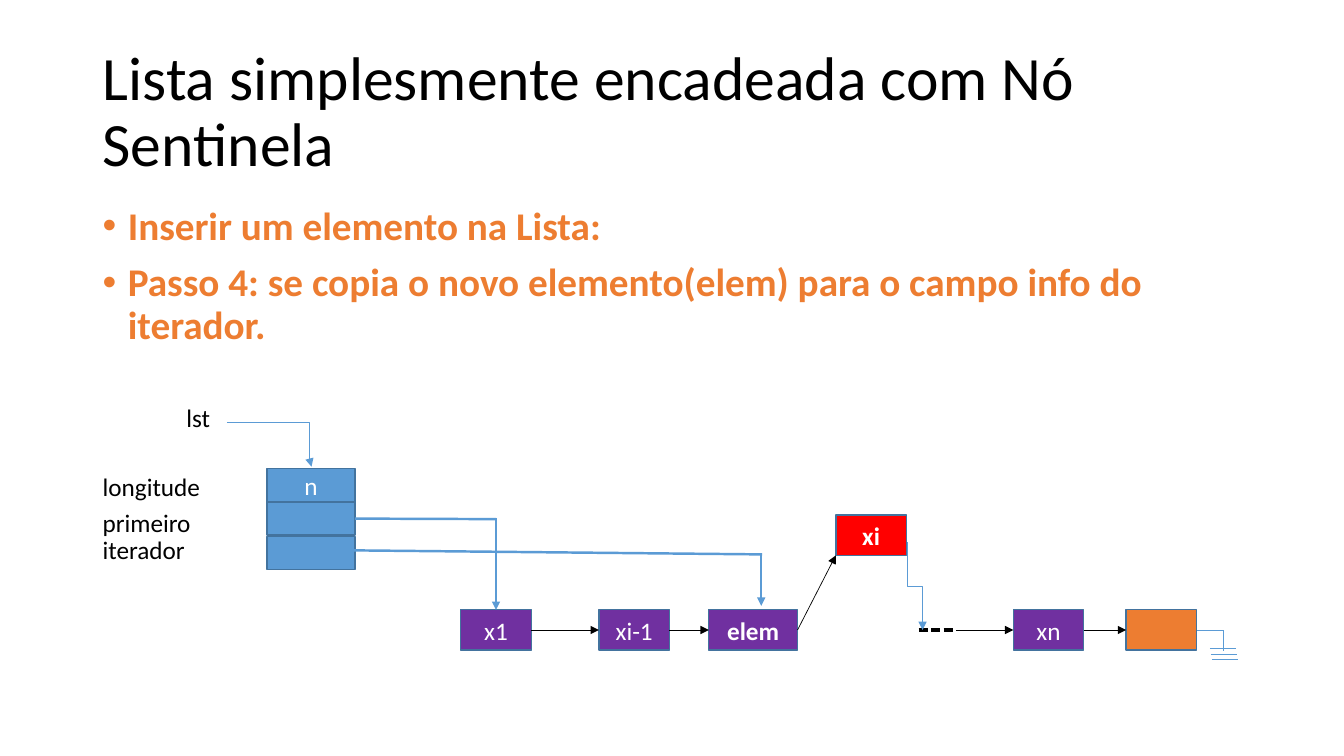
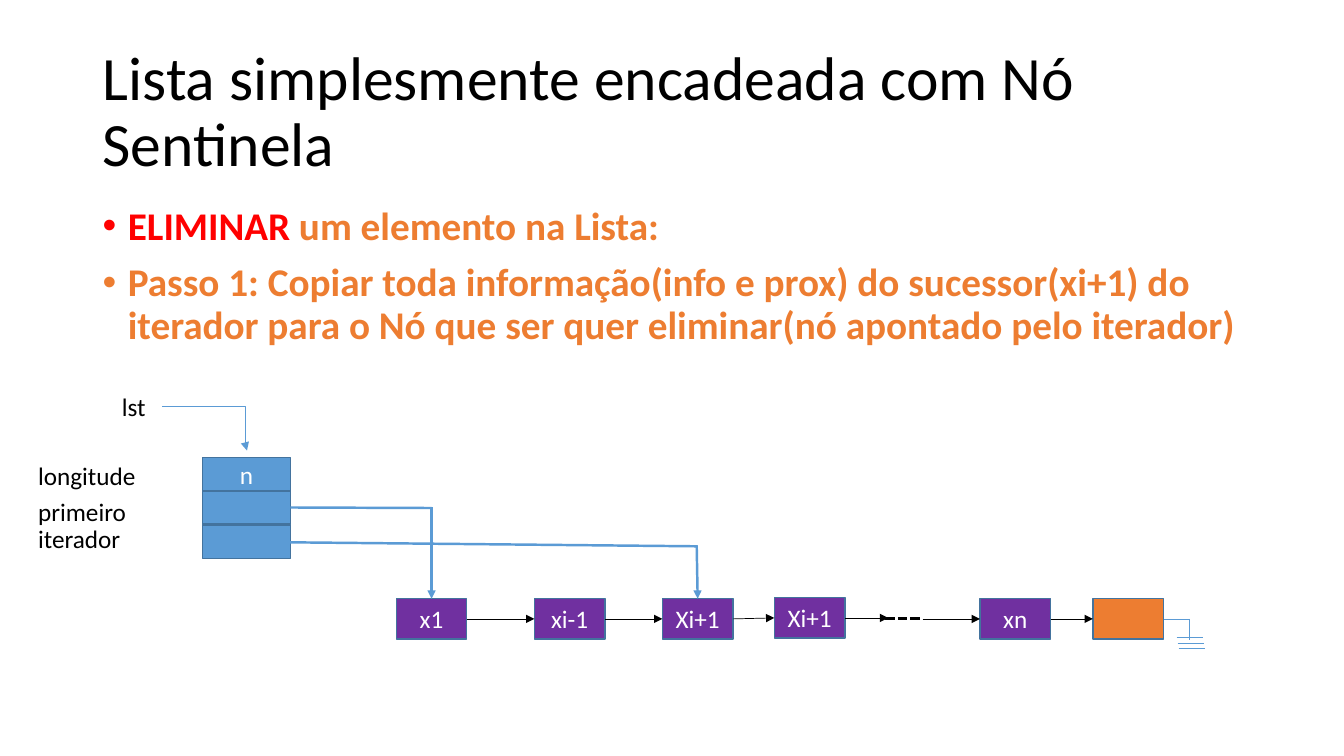
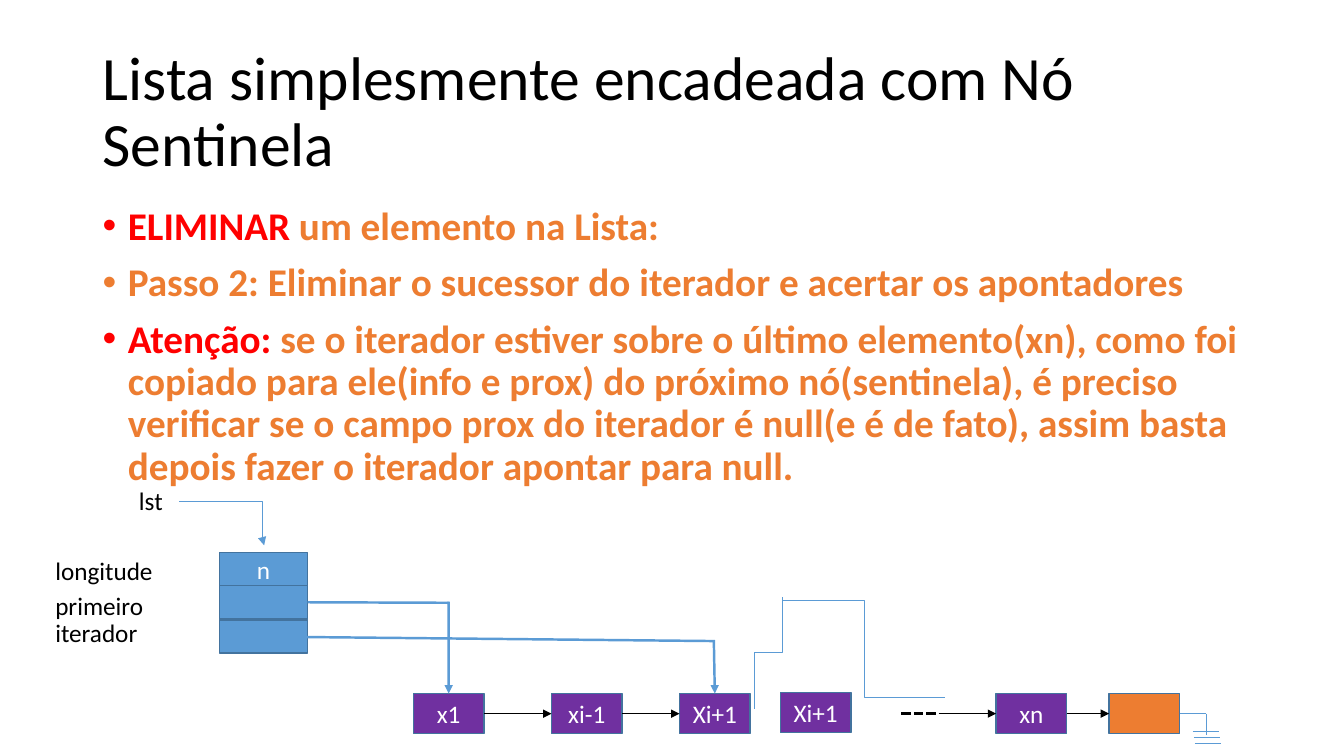
from lxml import etree
from pptx import Presentation
from pptx.dml.color import RGBColor
from pptx.enum.dml import MSO_LINE
from pptx.enum.shapes import MSO_CONNECTOR, MSO_SHAPE
from pptx.enum.text import MSO_ANCHOR, PP_ALIGN
from pptx.oxml.ns import qn
from pptx.util import Inches, Pt

RECT = MSO_SHAPE.RECTANGLE
LINE, ELBOW = MSO_CONNECTOR.STRAIGHT, MSO_CONNECTOR.ELBOW
DASH = MSO_LINE.SQUARE_DOT
MIDDLE, CENTER = MSO_ANCHOR.MIDDLE, PP_ALIGN.CENTER
TOP, LEFT, RIGHT = 0, 1, 3

BLACK, WHITE, RED = "000000", "FFFFFF", "FF0000"
BLUE, EDGE, PURPLE, ORANGE = "5B9BD5", "43739E", "7030A0", "ED7D31"

TITLE = "Lista simplesmente encadeada com Nó Sentinela"
DELETE = [("ELIMINAR", RED), (" um elemento na Lista:", ORANGE)]
FONT = {"name": "Calibri", "size": Pt(18), "bold": False}
HEAD = {**FONT, "size": Pt(44)}
BODY = {**FONT, "size": Pt(28), "bold": True}
BOLD = {**FONT, "bold": True}
BULLET = {"line_spacing": 0.9, "space_before": Pt(10)}

NODE_W, NODE_H = 0.7, 0.4
SLOT_W, SLOT_H = 0.87, 0.33
ROW = 1.4            # top of the node row below the top of the header
MID = ROW + NODE_H / 2


def rgb(code):
    return RGBColor.from_string(code)


def put(item, values):
    for name, value in values.items():
        setattr(item, name, value)


def sub(parent, tag, **attrs):
    return etree.SubElement(parent, qn(tag), attrs)


def write(para, text, color, font=FONT):
    run = para.add_run()
    run.text = text
    put(run.font, font)
    run.font.color.rgb = rgb(color)


def frame(slide, x, y, w, h):
    box = slide.shapes.add_textbox(*map(Inches, (x, y, w, h)))
    box.text_frame.word_wrap = True
    return box.text_frame


def label(slide, text, x, y, w=1.33):
    write(frame(slide, x, y, w, 0.4).paragraphs[0], text, BLACK)


def bullets(slide, items):
    """Each item is a list of (text, colour) runs."""
    body = frame(slide, 0.92, 2, 11.5, 5.24)
    for i, runs in enumerate(items):
        para = body.add_paragraph() if i else body.paragraphs[0]
        put(para, BULLET)
        props = para._p.get_or_add_pPr()
        put_in = {"marL": Inches(0.25), "indent": Inches(-0.25)}
        for name, value in put_in.items():
            props.set(name, str(int(value)))
        sub(props, "a:buFont", typeface="Arial")
        sub(props, "a:buChar", char="•")
        for text, color in runs:
            write(para, text, color, BODY)


def page(deck, items):
    slide = deck.slides.add_slide(deck.slide_layouts[6])
    head = frame(slide, 0.92, 0.4, 11.5, 1.45)
    head.vertical_anchor = MIDDLE
    head.paragraphs[0].line_spacing = 0.9
    write(head.paragraphs[0], TITLE, BLACK, HEAD)
    bullets(slide, items)
    return slide


def box(slide, text, x, y, w=NODE_W, h=NODE_H, fill=PURPLE, font=FONT):
    shape = slide.shapes.add_shape(RECT, *map(Inches, (x, y, w, h)))
    shape.shadow.inherit = False
    shape.fill.solid()
    shape.fill.fore_color.rgb = rgb(fill)
    shape.line.color.rgb = rgb(EDGE)
    shape.line.width = Pt(1)
    if text:
        body = shape.text_frame
        put(body, {"vertical_anchor": MIDDLE, "word_wrap": True})
        body.paragraphs[0].alignment = CENTER
        write(body.paragraphs[0], text, WHITE, font)
    return shape


def style(link, color, width, arrow=False, dash=None):
    link.line.color.rgb = rgb(color)
    put(link.line, {"width": Pt(width), "dash_style": dash})
    if arrow:
        sub(link.line._ln, "a:tailEnd", type="triangle")
    sub(link._element.spPr, "a:effectLst")


def line(host, x1, y1, x2, y2, color=BLUE, width=0.5, arrow=False,
         dash=None, start=None, end=None):
    """Straight line; start and end are (shape, side) pairs to join."""
    link = host.shapes.add_connector(LINE, *map(Inches, (x1, y1, x2, y2)))
    if start:
        link.begin_connect(*start)
    if end:
        link.end_connect(*end)
    style(link, color, width, arrow, dash)


def join(slide, one, two):
    """Black arrow from the right of one node to the left of the next."""
    link = slide.shapes.add_connector(LINE, 0, 0, 0, 0)
    link.begin_connect(one, RIGHT)
    link.end_connect(two, LEFT)
    style(link, BLACK, 0.5, True)


def elbow(slide, x1, y1, x2, y2, arrow=False, bend=0.5, tall=False):
    """Bent line; a tall one leaves and arrives vertically."""
    ends = x1, y1, x2, y2
    if tall:
        cx, cy = (x1 + x2) / 2, (y1 + y2) / 2
        dx, dy = (x2 - x1) / 2, (y2 - y1) / 2
        ends = cx - dy, cy + dx, cx + dy, cy - dx
    link = slide.shapes.add_connector(ELBOW, *map(Inches, ends))
    if tall:
        link.rotation = 90
    guides = link._element.spPr.prstGeom.get_or_add_avLst()
    sub(guides, "a:gd", name="adj1", fmla=f"val {round(bend * 100000)}")
    style(link, BLUE, 0.5, arrow)


def header(slide, x, y, lead):
    """List header with its labels; lead is the height of the lst arrow."""
    slots = [box(slide, text, x, y + dy, SLOT_W, SLOT_H, BLUE)
             for text, dy in (("n", 0), ("", 0.33), ("", 0.67))]
    for text, dy in (("longitude", -0.02), ("primeiro", 0.33),
                     ("iterador", 0.6)):
        label(slide, text, x - 1.73, y + dy)
    label(slide, "lst", x - 0.9, y - 0.71, 0.49)
    elbow(slide, x - 0.4, y - lead, x + 0.44, y - lead + 0.44, True, 0.98)
    return slots


def ending(slide, x, y):
    """Dashes, last node, sentinel and ground; x is the last node's left."""
    mid = y + NODE_H / 2
    last = box(slide, "xn", x, y)
    stop = box(slide, "", x + 1.12, y, fill=ORANGE)
    line(slide, x - 0.94, mid, x - 0.57, mid, BLACK, 2.25, dash=DASH)
    line(slide, x - 0.57, mid, x, mid, BLACK, arrow=True, end=(last, LEFT))
    join(slide, last, stop)
    ground = slide.shapes.add_group_shape()
    line(ground, x + 1.82, mid, x + 2.08, mid, start=(stop, RIGHT))
    line(ground, x + 2.08, mid, x + 2.08, mid + 0.21)
    for i, dy in enumerate((0.18, 0.24, 0.29)):
        bar = x + 1.95 + 0.01 * i
        line(ground, bar, mid + dy, bar + 0.26, mid + dy)


def chain(slide, x, y, third, tail, lead=0.51, iter_y=0.84, fresh=False):
    """Whole list at x, y; returns the node under the iterator.

    A fresh node is wider and bold, and the iterator stops just above it.
    """
    slots = header(slide, x, y, lead)
    top = y + ROW
    first = box(slide, "x1", x + 1.92, top)
    prev = box(slide, "xi-1", x + 3.29, top)
    if fresh:
        node = box(slide, third, x + 4.38, top, 0.88, font=BOLD)
    else:
        node = box(slide, third, x + 4.56, top)
    join(slide, first, prev)
    join(slide, prev, node)
    line(slide, x + SLOT_W, y + 0.49, x + 2.27, y + 0.5, width=1.75,
         start=(slots[1], RIGHT))
    line(slide, x + 2.27, y + 0.49, x + 2.27, top, width=1.75, arrow=True,
         end=(first, TOP))
    line(slide, x + 0.84, y + iter_y, x + 4.91, y + iter_y + 0.04, width=1.75)
    line(slide, x + 4.9, y + iter_y + 0.03, x + 4.9, top - 0.04, width=1.75,
         arrow=True, end=None if fresh else (node, TOP))
    ending(slide, x + tail, top)
    return node


def insert(deck):
    slide = page(deck, [
        [("Inserir um elemento na Lista:", ORANGE)],
        [("Passo 4: se copia o novo elemento(elem) para o campo info do "
          "iterador.", ORANGE)]])
    node = chain(slide, 2.65, 4.65, "elem", 7.4, 0.46, 0.81, True)
    box(slide, "xi", 8.29, 5.11, fill=RED, font=BOLD)
    line(slide, 7.91, 6.25, 8.29, 5.51, BLACK, arrow=True,
         start=(node, RIGHT))
    elbow(slide, 9, 5.38, 9.15, 6.25, True, tall=True)


def copy_next(deck):
    slide = page(deck, [
        DELETE,
        [("Passo 1: Copiar toda informação(info e prox) do sucessor(xi+1) do "
          "iterador para o Nó que ser quer eliminar(nó apontado pelo "
          "iterador)", ORANGE)]])
    node = chain(slide, 2.01, 4.54, "Xi+1", 7.71)
    after = box(slide, "Xi+1", 7.68, 5.93)
    join(slide, node, after)
    line(slide, 8.38, 6.13, 8.81, 6.13, BLACK, arrow=True,
         start=(after, RIGHT))


def drop_next(deck):
    slide = page(deck, [
        DELETE,
        [("Passo 2: Eliminar o sucessor do iterador e acertar os "
          "apontadores", ORANGE)],
        [("Atenção: ", RED),
         ("se o iterador estiver sobre o último elemento(xn), como foi "
          "copiado para ele(info e prox) do próximo nó(sentinela), é preciso "
          "verificar se o campo prox do iterador é null(e é de fato), assim "
          "basta depois fazer o iterador apontar para null.", ORANGE)]])
    chain(slide, 2.18, 5.48, "Xi+1", 7.7)
    box(slide, "Xi+1", 7.74, 6.87)
    elbow(slide, 7.77, 5.96, 9.37, 6.92)
    elbow(slide, 7.48, 7.03, 7.76, 5.92, tall=True)


def main():
    deck = Presentation()
    put(deck, {"slide_width": Inches(13.33), "slide_height": Inches(7.5)})
    for build in (insert, copy_next, drop_next):
        build(deck)
    deck.save("out.pptx")


if __name__ == "__main__":
    main()
